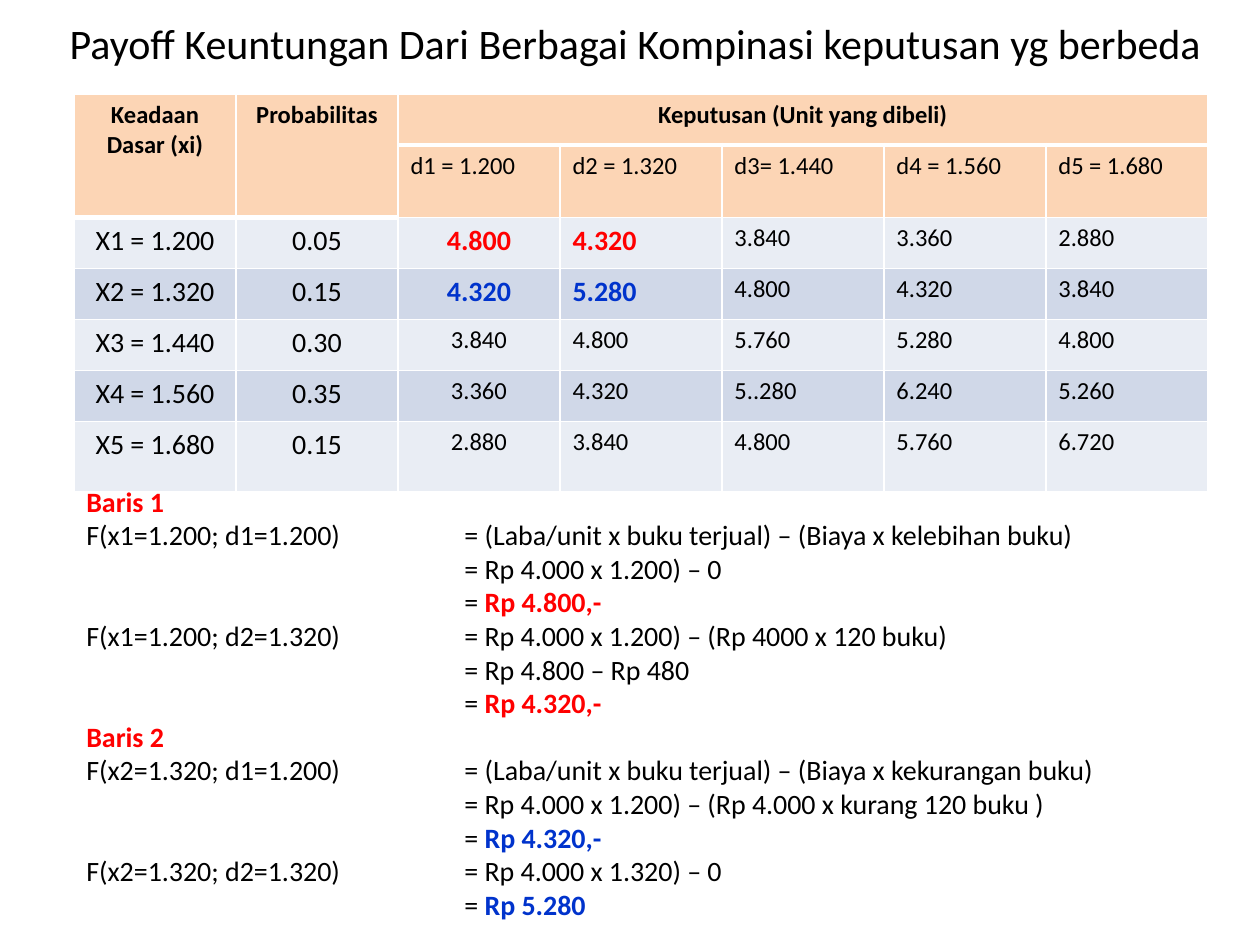
from lxml.etree import SubElement
from pptx import Presentation
from pptx.dml.color import RGBColor
from pptx.enum.text import MSO_ANCHOR, MSO_AUTO_SIZE, PP_ALIGN
from pptx.oxml.ns import qn
from pptx.util import Emu, Pt

COLORS = {
    "black": "000000", "white": "FFFFFF", "red": "FF0000", "blue": "0033CC",
    "header": "FCD5B5", "light": "E9EDF4", "dark": "D0D8E8",
}


def px(value):
    return Emu(round(value * 914400 / 126))


def format_span(span, size, color="black", bold=False):
    span.font.name = "Calibri"
    span.font.size = Pt(size)
    span.font.bold = bold
    span.font.color.rgb = RGBColor.from_string(COLORS[color])


deck = Presentation()
deck.slide_width, deck.slide_height = px(1260), px(945)
page = deck.slides.add_slide(deck.slide_layouts[5])

title = page.shapes.title
title.left, title.top, title.width, title.height = px(53), px(1), px(1165), px(83)
title.text_frame.text = "Payoff Keuntungan Dari Berbagai Kompinasi keputusan yg berbeda"
title.text_frame.vertical_anchor = MSO_ANCHOR.MIDDLE
title.text_frame.paragraphs[0].alignment = PP_ALIGN.CENTER
format_span(title.text_frame.paragraphs[0].runs[0], 24)

payoffs = [
    ["Keadaan Dasar (xi)", "Probabilitas", "Keputusan (Unit yang dibeli)", "", "", "", ""],
    ["", "", "d1 = 1.200", "d2 = 1.320", "d3= 1.440", "d4 = 1.560", "d5 = 1.680"],
    ["X1 = 1.200", "0.05", "4.800", "4.320", "3.840", "3.360", "2.880"],
    ["X2 = 1.320", "0.15", "4.320", "5.280", "4.800", "4.320", "3.840"],
    ["X3 = 1.440", "0.30", "3.840", "4.800", "5.760", "5.280", "4.800"],
    ["X4 = 1.560", "0.35", "3.360", "4.320", "5..280", "6.240", "5.260"],
    ["X5 = 1.680", "0.15", "2.880", "3.840", "4.800", "5.760", "6.720"],
]
highlights = {(2, 2): "red", (2, 3): "red", (3, 2): "blue", (3, 3): "blue"}
row_heights = [51] * 6 + [71]

table = page.shapes.add_table(7, 7, px(74), px(94), px(1134), px(sum(row_heights))).table
for column in table.columns:
    column.width = px(162)
for table_row, height in zip(table.rows, row_heights):
    table_row.height = px(height)
table.cell(0, 0).merge(table.cell(1, 0))
table.cell(0, 1).merge(table.cell(1, 1))
table.cell(0, 2).merge(table.cell(0, 6))

for row, values in enumerate(payoffs):
    for col, value in enumerate(values):
        cell = table.cell(row, col)
        header_end = 1 if col < 2 else 0
        borders = {
            "a:lnL": 1,
            "a:lnR": 1,
            "a:lnT": 3 if row == header_end + 1 else 1,
            "a:lnB": 3 if row in (0, header_end) else 1,
        }
        properties = cell._tc.get_or_add_tcPr()
        for side, weight in borders.items():
            line = SubElement(properties, qn(side), w=str(Pt(weight)))
            SubElement(SubElement(line, qn("a:solidFill")), qn("a:srgbClr"), val=COLORS["white"])
        fill = "header" if row < 2 else ("light", "dark")[row % 2]
        cell.fill.solid()
        cell.fill.fore_color.rgb = RGBColor.from_string(COLORS[fill])
        if not value:
            continue
        cell.text_frame.text = value
        para = cell.text_frame.paragraphs[0]
        if row == 0 or (row > 1 and col < 3):
            para.alignment = PP_ALIGN.CENTER
        highlight = highlights.get((row, col))
        large = highlight or (row > 1 and col < 2)
        format_span(para.runs[0], 16 if large else 14, highlight or "black", row == 0 or bool(highlight))

indent = "\t\t\t= "
calculations = [
    [("Baris 1", "red")],
    [("F(x1=1.200; d1=1.200) \t= (Laba/unit x buku terjual) – (Biaya x kelebihan buku)", "black")],
    [(indent + "Rp 4.000 x 1.200) – 0", "black")],
    [(indent, "black"), ("Rp 4.800,-", "red")],
    [("F(x1=1.200; d2=1.320)\t= Rp 4.000 x 1.200) – (Rp 4000 x 120 buku)", "black")],
    [(indent + "Rp 4.800 – Rp 480", "black")],
    [(indent, "black"), ("Rp 4.320,-", "red")],
    [("Baris 2", "red")],
    [("F(x2=1.320; d1=1.200) \t= (Laba/unit x buku terjual) – (Biaya x kekurangan buku)", "black")],
    [(indent + "Rp 4.000 x 1.200) – (Rp 4.000 x kurang 120 buku )", "black")],
    [(indent, "black"), ("Rp 4.320,-", "blue")],
    [("F(x2=1.320; d2=1.320)\t= Rp 4.000 x 1.320) – 0", "black")],
    [(indent, "black"), ("Rp 5.280", "blue")],
]
box = page.shapes.add_textbox(px(74), px(478), px(1144), px(488))
frame = box.text_frame
frame.word_wrap = True
frame.auto_size = MSO_AUTO_SIZE.SHAPE_TO_FIT_TEXT
for number, pieces in enumerate(calculations):
    para = frame.add_paragraph() if number else frame.paragraphs[0]
    tab_stops = SubElement(para._p.get_or_add_pPr(), qn("a:tabLst"))
    for stop in (126, 252, 378):
        SubElement(tab_stops, qn("a:tab"), pos=str(px(stop)), algn="l")
    for text, color in pieces:
        span = para.add_run()
        span.text = text
        format_span(span, 16, color, color != "black")

deck.save("out.pptx")
